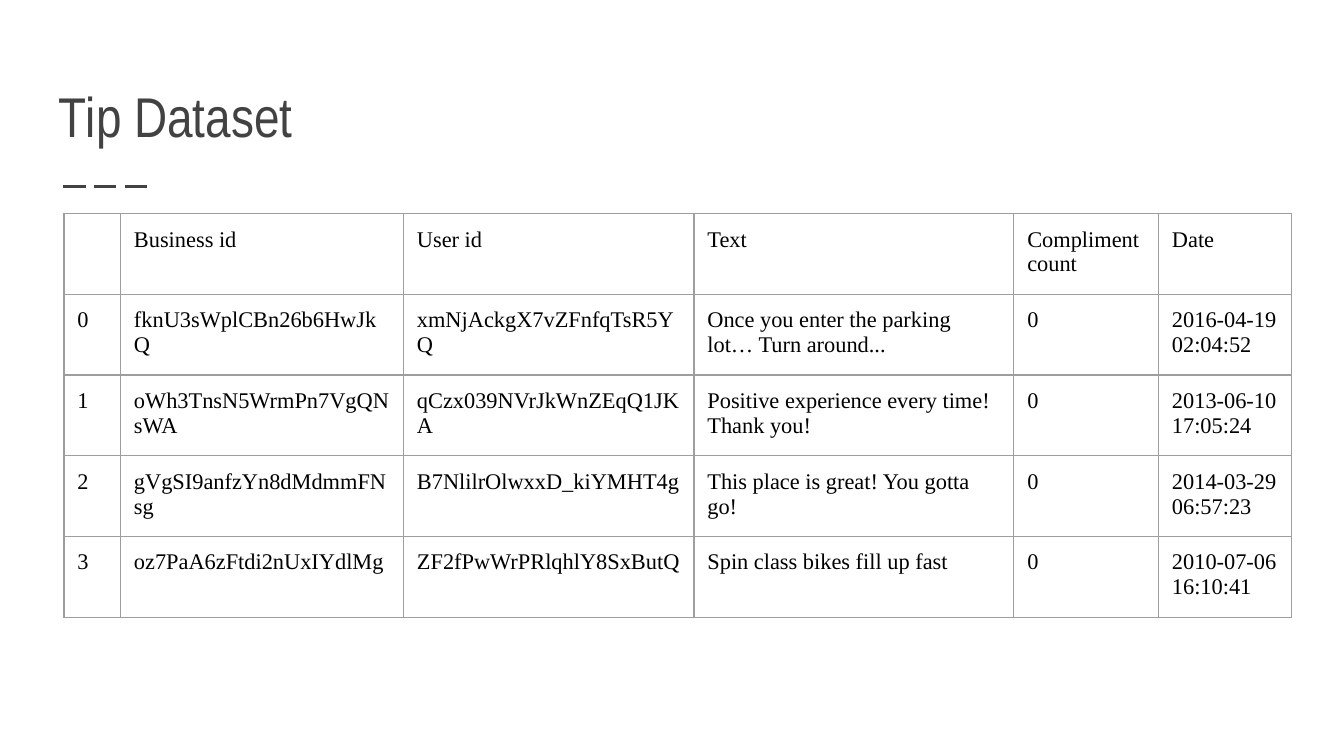
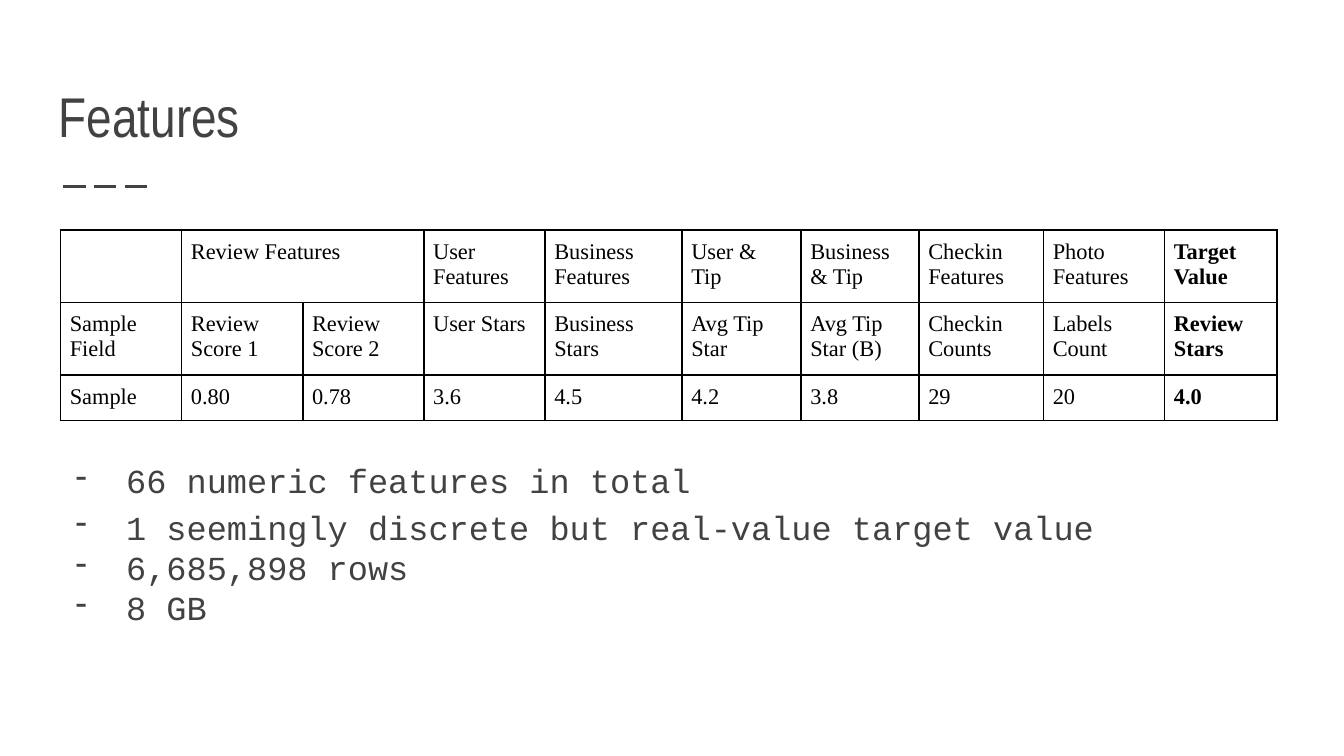
from lxml.etree import SubElement
from pptx import Presentation
from pptx.dml.color import RGBColor
from pptx.enum.dml import MSO_LINE
from pptx.enum.shapes import MSO_CONNECTOR
from pptx.enum.text import MSO_ANCHOR
from pptx.oxml.ns import qn
from pptx.util import Pt

DARK = RGBColor(0x42, 0x42, 0x42)
BLACK = RGBColor(0, 0, 0)
GREY = RGBColor(0x9E, 0x9E, 0x9E)
WHITE = RGBColor(0xFF, 0xFF, 0xFF)
TITLE_FONT, TABLE_FONT, BODY_FONT = "Arial Narrow", "Times New Roman", "Courier New"
LEFT, WIDTH, INSET = 24.5, 671, 7.2

prs = Presentation()
prs.slide_width, prs.slide_height = Pt(720), Pt(405)


def add_titled_slide(heading):
    slide = prs.slides.add_slide(prs.slide_layouts[6])
    slide.background.fill.solid()
    slide.background.fill.fore_color.rgb = WHITE

    # Dashed rule under the title
    rule = slide.shapes.add_connector(
        MSO_CONNECTOR.STRAIGHT, Pt(33.8), Pt(100), Pt(82.1), Pt(100))
    rule.line.color.rgb = DARK
    rule.line.width = Pt(1.5)
    rule.line.dash_style = MSO_LINE.LONG_DASH
    SubElement(rule._element.spPr, qn("a:effectLst"))

    # Title
    title = slide.shapes.add_textbox(Pt(LEFT), Pt(29.5), Pt(WIDTH), Pt(57.6)).text_frame
    title.word_wrap = True
    title.vertical_anchor = MSO_ANCHOR.BOTTOM
    title.margin_top = title.margin_bottom = Pt(INSET)
    title.text = heading
    font = title.paragraphs[0].font
    font.name, font.size, font.color.rgb = TITLE_FONT, Pt(30), DARK
    return slide


def add_grid(slide, rows, left, top, widths, heights, inset, border, border_width):
    table = slide.shapes.add_table(
        len(rows), len(widths), Pt(left), Pt(top), Pt(sum(widths)), Pt(sum(heights))).table
    table.first_row = table.horz_banding = False
    for column, width in zip(table.columns, widths):
        column.width = Pt(width)
    for row, height in zip(table.rows, heights):
        row.height = Pt(height)
    for r, texts in enumerate(rows):
        for c, text in enumerate(texts):
            cell = table.cell(r, c)
            cell.margin_left = cell.margin_right = Pt(inset)
            cell.margin_top = cell.margin_bottom = Pt(inset)
            cell.text = text
            font = cell.text_frame.paragraphs[0].font
            font.name, font.size, font.color.rgb = TABLE_FONT, Pt(12), BLACK
            properties = cell._tc.get_or_add_tcPr()
            for side in ("a:lnL", "a:lnR", "a:lnT", "a:lnB"):
                line = SubElement(properties, qn(side), w=str(Pt(border_width)))
                SubElement(SubElement(line, qn("a:solidFill")), qn("a:srgbClr"), val=str(border))
            cell.fill.background()
    return table


# Slide 1: tip dataset
tip_slide = add_titled_slide("Tip Dataset")
tips = [
    ["", "Business id", "User id", "Text", "Compliment count", "Date"],
    ["0", "fknU3sWplCBn26b6HwJkQ", "xmNjAckgX7vZFnfqTsR5YQ",
     "Once you enter the parking lot… Turn around...", "0", "2016-04-19 02:04:52"],
    ["1", "oWh3TnsN5WrmPn7VgQNsWA", "qCzx039NVrJkWnZEqQ1JKA",
     "Positive experience every time! Thank you!", "0", "2013-06-10 17:05:24"],
    ["2", "gVgSI9anfzYn8dMdmmFNsg", "B7NlilrOlwxxD_kiYMHT4g",
     "This place is great! You gotta go!", "0", "2014-03-29 06:57:23"],
    ["3", "oz7PaA6zFtdi2nUxIYdlMg", "ZF2fPwWrPRlqhlY8SxButQ",
     "Spin class bikes fill up fast", "0", "2010-07-06 16:10:41"],
]
add_grid(tip_slide, tips, 34.3, 114.5, [30.3, 151.6, 155.6, 171.4, 77.5, 71.2],
         [30] * len(tips), INSET, GREY, 0.75)

# Slide 2: features
feature_slide = add_titled_slide("Features")
features = [
    ["", "Review Features", "", "User Features", "Business Features", "User & Tip",
     "Business & Tip", "Checkin Features", "Photo Features", "Target Value"],
    ["Sample Field", "Review Score 1", "Review Score 2", "User Stars", "Business Stars",
     "Avg Tip Star", "Avg Tip Star (B)", "Checkin Counts", "Labels Count", "Review Stars"],
    ["Sample", "0.80", "0.78", "3.6", "4.5", "4.2", "3.8", "29", "20", "4.0"],
]
feature_table = add_grid(
    feature_slide, features, 32.4, 123.2,
    [64.9, 64.9, 64.9, 64.9, 73.4, 63.8, 63.2, 66.7, 64.9, 60.3],
    [31, 34, 14], 5, BLACK, 1)
feature_table.cell(0, 1).merge(feature_table.cell(0, 2))
for r in range(len(features)):
    feature_table.cell(r, 9).text_frame.paragraphs[0].font.bold = True

# Dataset facts
facts = feature_slide.shapes.add_textbox(Pt(LEFT), Pt(236.2), Pt(WIDTH), Pt(123.8)).text_frame
facts.word_wrap = True
facts.margin_top = facts.margin_bottom = Pt(INSET)
facts.text = "\n".join([
    "66 numeric features in total",
    "1 seemingly discrete but real-value target value",
    "6,685,898 rows",
    "8 GB",
])
for paragraph, spacing in zip(facts.paragraphs, [1.15, 1.15, 1, 1]):
    paragraph.line_spacing = spacing
    properties = paragraph._p.get_or_add_pPr()
    properties.set("marL", str(Pt(36)))
    properties.set("indent", str(Pt(-27)))
    bullet_color = SubElement(properties, qn("a:buClr"))
    SubElement(bullet_color, qn("a:srgbClr"), val=str(DARK))
    SubElement(properties, qn("a:buChar"), char="-")
    font = paragraph.font
    font.name, font.size, font.color.rgb = BODY_FONT, Pt(18), DARK

prs.save("out.pptx")
